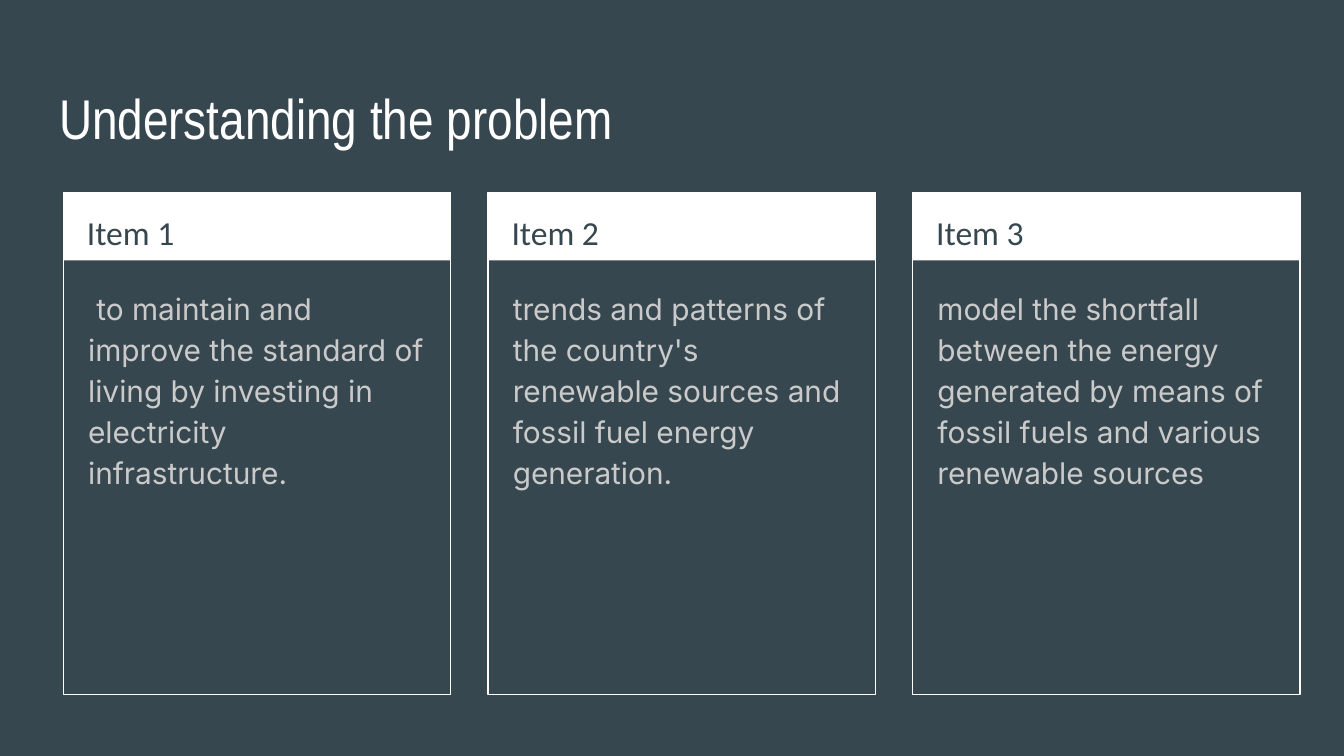
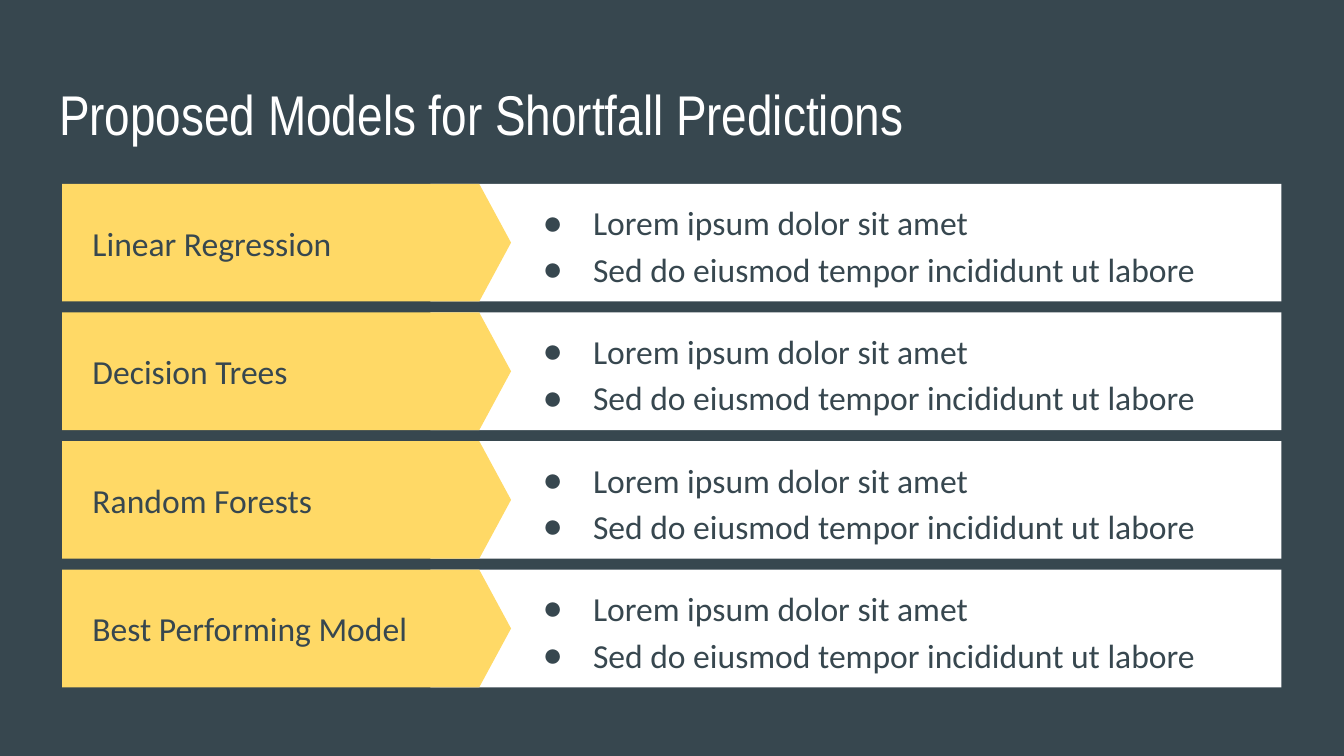
from dataclasses import dataclass
from typing import Any

from lxml import etree
from pptx import Presentation
from pptx import util as u
from pptx.dml.color import RGBColor
from pptx.enum import shapes, text
from pptx.oxml.ns import qn

SLATE = RGBColor(0x37, 0x47, 0x4F)
WHITE = RGBColor(0xFF, 0xFF, 0xFF)
GREY = RGBColor(0xCA, 0xCA, 0xCA)
GOLD = RGBColor(0xFF, 0xD9, 0x66)

RECT = shapes.MSO_SHAPE.RECTANGLE
ARROW = shapes.MSO_SHAPE.PENTAGON
TOP = text.MSO_ANCHOR.TOP
MIDDLE = text.MSO_ANCHOR.MIDDLE


@dataclass(frozen=True)
class Box:
    left: float
    top: float
    width: float
    height: float

    def size(self) -> list[u.Length]:
        return [u.Pt(v) for v in (self.left, self.top, self.width, self.height)]


@dataclass(frozen=True)
class Style:
    font: str
    size: float
    color: RGBColor
    lines: float = 1.0
    anchor: Any = TOP
    bullet: bool = False


@dataclass(frozen=True)
class Card:
    head: str
    body: str


@dataclass(frozen=True)
class Model:
    name: str
    width: float = 191


TITLE = Style("Arial Narrow", 30, WHITE)
HEAD = Style("Calibri", 18, SLATE, 1.15)
BODY = Style("Inter", 16, GREY, 1.15)
LABEL = Style("Calibri", 18, SLATE, anchor=MIDDLE)
POINT = Style("Calibri", 18, SLATE, 1.15, MIDDLE, True)

CARDS = [
    Card("Item 1", " to maintain and improve the standard of living "
         "by investing in electricity infrastructure."),
    Card("Item 2", "trends and patterns of the country's renewable sources "
         "and fossil fuel energy generation."),
    Card("Item 3", "model the shortfall between the energy generated by means "
         "of fossil fuels and various renewable sources"),
]
MODELS = [
    Model("Linear Regression"),
    Model("Decision Trees"),
    Model("Random Forests"),
    Model("Best Performing Model", 202),
]
POINTS = ["Lorem ipsum dolor sit amet", "Sed do eiusmod tempor incididunt ut labore"]


def indent(para: Any, bullet: bool) -> None:
    props = para._p.get_or_add_pPr()
    props.set("marL", str(u.Pt(36 if bullet else 0)))
    props.set("indent", str(u.Pt(-27 if bullet else 0)))
    if not bullet:
        etree.SubElement(props, qn("a:buNone"))
        return
    tint = etree.SubElement(props, qn("a:buClr"))
    etree.SubElement(tint, qn("a:srgbClr")).set("val", str(SLATE))
    etree.SubElement(props, qn("a:buChar")).set("char", "●")


def write(shape: Any, box: Box, style: Style, lines: list[str]) -> None:
    shape.left, shape.top, shape.width, shape.height = box.size()
    frame = shape.text_frame
    frame.word_wrap = True
    frame.auto_size = text.MSO_AUTO_SIZE.NONE
    frame.vertical_anchor = style.anchor
    frame.margin_left = frame.margin_right = u.Pt(7.2)
    frame.margin_top = frame.margin_bottom = u.Pt(7.2)
    for i, line in enumerate(lines):
        para = frame.add_paragraph() if i else frame.paragraphs[0]
        indent(para, style.bullet)
        para.alignment = text.PP_ALIGN.LEFT
        para.line_spacing = style.lines
        para.space_before = para.space_after = u.Pt(0)
        run = para.add_run()
        run.text = line
        run.font.name = style.font
        run.font.size = u.Pt(style.size)
        run.font.bold = False
        run.font.color.rgb = style.color


def label(slide: Any, box: Box, style: Style, line: str) -> None:
    write(slide.shapes.add_textbox(*box.size()), box, style, [line])


def fill(slide: Any, holder: Any, box: Box, style: Style, lines: list[str]) -> None:
    slide.shapes.element.append(holder.element)
    write(holder, box, style, lines)


def block(group: Any, kind: Any, box: Box, color: RGBColor) -> Any:
    shape = group.shapes.add_shape(kind, *box.size())
    shape.shadow.inherit = False
    shape.fill.solid()
    shape.fill.fore_color.rgb = color
    shape.line.fill.background()
    return shape


def frame(group: Any, box: Box) -> None:
    shape = group.shapes.add_shape(RECT, *box.size())
    shape.shadow.inherit = False
    shape.fill.background()
    shape.line.color.rgb = WHITE
    shape.line.width = u.Pt(0.75)


def start(deck: Any, title: str, top: float) -> tuple[Any, list[Any]]:
    slide = deck.slides.add_slide(deck.slide_layouts.get_by_name("Comparison"))
    write(slide.shapes.title, Box(24.5, top, 671, 45.5), TITLE, [title])
    return slide, list(slide.placeholders)[1:]


def goals(deck: Any) -> None:
    slide, holders = start(deck, "Understanding the problem", 37.5)
    for i, (card, holder) in enumerate(zip(CARDS, holders)):
        left, top = 34 + 227.5 * i, 103
        group = slide.shapes.add_group_shape()
        block(group, RECT, Box(left, top, 207.5, 36.5), WHITE)
        frame(group, Box(left, top, 207.5, 269))
        label(slide, Box(left + 5.5, top, 196.5, 36), HEAD, card.head)
        fill(slide, holder, Box(left + 6, 145.5, 195, 220), BODY, [card.body])
    for spare in holders[len(CARDS):]:
        slide.shapes.element.remove(spare.element)


def models(deck: Any) -> None:
    slide, holders = start(deck, "Proposed Models for Shortfall Predictions", 35.5)
    high = 63
    for i, (model, holder) in enumerate(zip(MODELS, holders)):
        top = 98.5 + 68.9 * i
        group = slide.shapes.add_group_shape()
        block(group, RECT, Box(230.5, top, 456, high), WHITE)
        arrow = block(group, ARROW, Box(33.3, top, 240.5, high), GOLD)
        arrow.adjustments[0] = 0.27
        label(slide, Box(42.5, top, model.width, high), LABEL, model.name)
        fill(slide, holder, Box(274.5, top, 402.5, high), POINT, POINTS)


def main() -> None:
    deck = Presentation()
    deck.slide_width, deck.slide_height = u.Pt(720), u.Pt(405)
    back = deck.slide_master.background.fill
    back.solid()
    back.fore_color.rgb = SLATE
    goals(deck)
    models(deck)
    deck.save("out.pptx")


if __name__ == "__main__":
    main()
